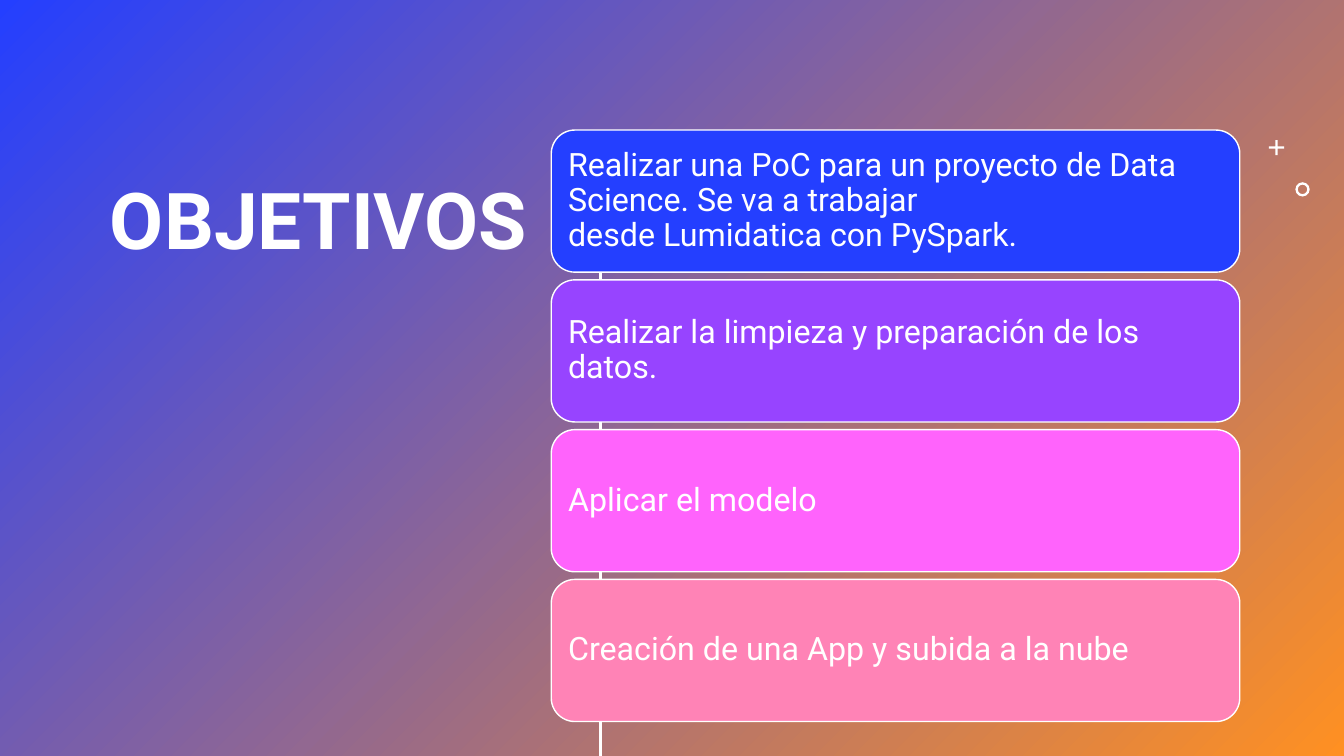
from lxml.etree import SubElement
from pptx import Presentation
from pptx.dml.color import RGBColor
from pptx.enum.shapes import MSO_CONNECTOR, MSO_SHAPE
from pptx.enum.text import MSO_ANCHOR, MSO_AUTO_SIZE, PP_ALIGN
from pptx.oxml.ns import qn
from pptx.util import Pt

COLORS = {
    "white": "FFFFFF", "blue": "243FFF", "orange": "FF9022",
    "violet": "9744FF", "magenta": "FF63FC", "pink": "FF83B6",
}
FONT = "Roboto"
NBSP = chr(160)

HEADING = "OBJETIVOS"
# Each goal: wording, a phrase kept on one line, box color
GOALS = [
    ("Realizar una PoC para un proyecto de Data Science. Se va a trabajar "
     "desde Lumidatica con PySpark.", "desde Lumidatica con PySpark.", "blue"),
    ("Realizar la limpieza y preparación de los datos.", "", "violet"),
    ("Aplicar el modelo", "", "magenta"),
    ("Creación de una App y subida a la nube", "", "pink"),
]
# Each ornament: preset, left, top, size, adjustment
ORNAMENTS = [
    (MSO_SHAPE.CROSS, 906.4, 100, 10.8, 0.43),
    (MSO_SHAPE.DONUT, 925.3, 130.2, 10.2, 0.17),
]

SLIDE_W, SLIDE_H = 960, 540
GOAL_LEFT, GOAL_TOP, GOAL_W, GOAL_H, GOAL_PITCH = 393.8, 92.9, 491.8, 101.5, 107
SPINE_X, SPINE_TOP = 429, 125.3

TITLE_FRAME = {"vertical_anchor": MSO_ANCHOR.TOP, "word_wrap": True,
               "auto_size": MSO_AUTO_SIZE.NONE}
GOAL_FRAME = {"vertical_anchor": MSO_ANCHOR.MIDDLE, "word_wrap": True,
              "margin_left": Pt(7.2), "margin_right": Pt(7.2),
              "margin_top": Pt(7.2), "margin_bottom": Pt(7.2)}


def rgb(name):
    return RGBColor.from_string(COLORS[name])


def apply(target, values):
    for attribute, value in values.items():
        setattr(target, attribute, value)


def write(shape, wording, frame, align, size, bold):
    apply(shape.text_frame, frame)
    paragraph = shape.text_frame.paragraphs[0]
    apply(paragraph, {"alignment": align, "line_spacing": 0.9})
    run = paragraph.add_run()
    run.text = wording
    apply(run.font, {"name": FONT, "size": Pt(size), "bold": bold})
    run.font.color.rgb = rgb("white")


def add_flat(slide, preset, left, top, width, height, color=None):
    """Add a preset shape without shadow or outline."""
    shape = slide.shapes.add_shape(preset, Pt(left), Pt(top), Pt(width), Pt(height))
    shape.shadow.inherit = False
    shape.line.fill.background()
    if color:
        shape.fill.solid()
        shape.fill.fore_color.rgb = rgb(color)
    return shape


def add_backdrop(slide):
    backdrop = add_flat(slide, MSO_SHAPE.RECTANGLE, 0, 0, SLIDE_W, SLIDE_H)
    backdrop.fill.gradient()
    backdrop.fill.gradient_angle = 315
    for stop, color, position in zip(backdrop.fill.gradient_stops,
                                     ("blue", "orange"), (0, 1)):
        stop.color.rgb = rgb(color)
        stop.position = position
    slide.shapes.title.element.addprevious(backdrop.element)


def add_title(slide):
    title = slide.shapes.title
    apply(title, {"left": Pt(36), "top": Pt(126), "width": Pt(348), "height": Pt(286)})
    write(title, HEADING, TITLE_FRAME, PP_ALIGN.RIGHT, 56, True)


def add_spine(slide):
    spine = slide.shapes.add_connector(MSO_CONNECTOR.STRAIGHT, Pt(SPINE_X), Pt(SPINE_TOP),
                                       Pt(SPINE_X), Pt(SLIDE_H))
    spine.line.color.rgb = rgb("white")
    spine.line.width = Pt(2)
    SubElement(spine.element.spPr, qn("a:effectLst"))


def add_goals(slide):
    for row, (wording, phrase, color) in enumerate(GOALS):
        goal = add_flat(slide, MSO_SHAPE.ROUNDED_RECTANGLE, GOAL_LEFT,
                        GOAL_TOP + row * GOAL_PITCH, GOAL_W, GOAL_H, color)
        goal.line.color.rgb = rgb("white")
        goal.line.width = Pt(1)
        if phrase:
            wording = wording.replace(phrase, phrase.replace(" ", NBSP))
        write(goal, wording, GOAL_FRAME, PP_ALIGN.LEFT, 23, False)


def main():
    deck = Presentation()
    apply(deck, {"slide_width": Pt(SLIDE_W), "slide_height": Pt(SLIDE_H)})
    slide = deck.slides.add_slide(deck.slide_layouts.get_by_name("Title Only"))
    add_backdrop(slide)
    add_title(slide)
    add_spine(slide)
    for preset, left, top, size, adjustment in ORNAMENTS:
        ornament = add_flat(slide, preset, left, top, size, size, "white")
        ornament.adjustments[0] = adjustment
    add_goals(slide)
    deck.save("out.pptx")


if __name__ == "__main__":
    main()
